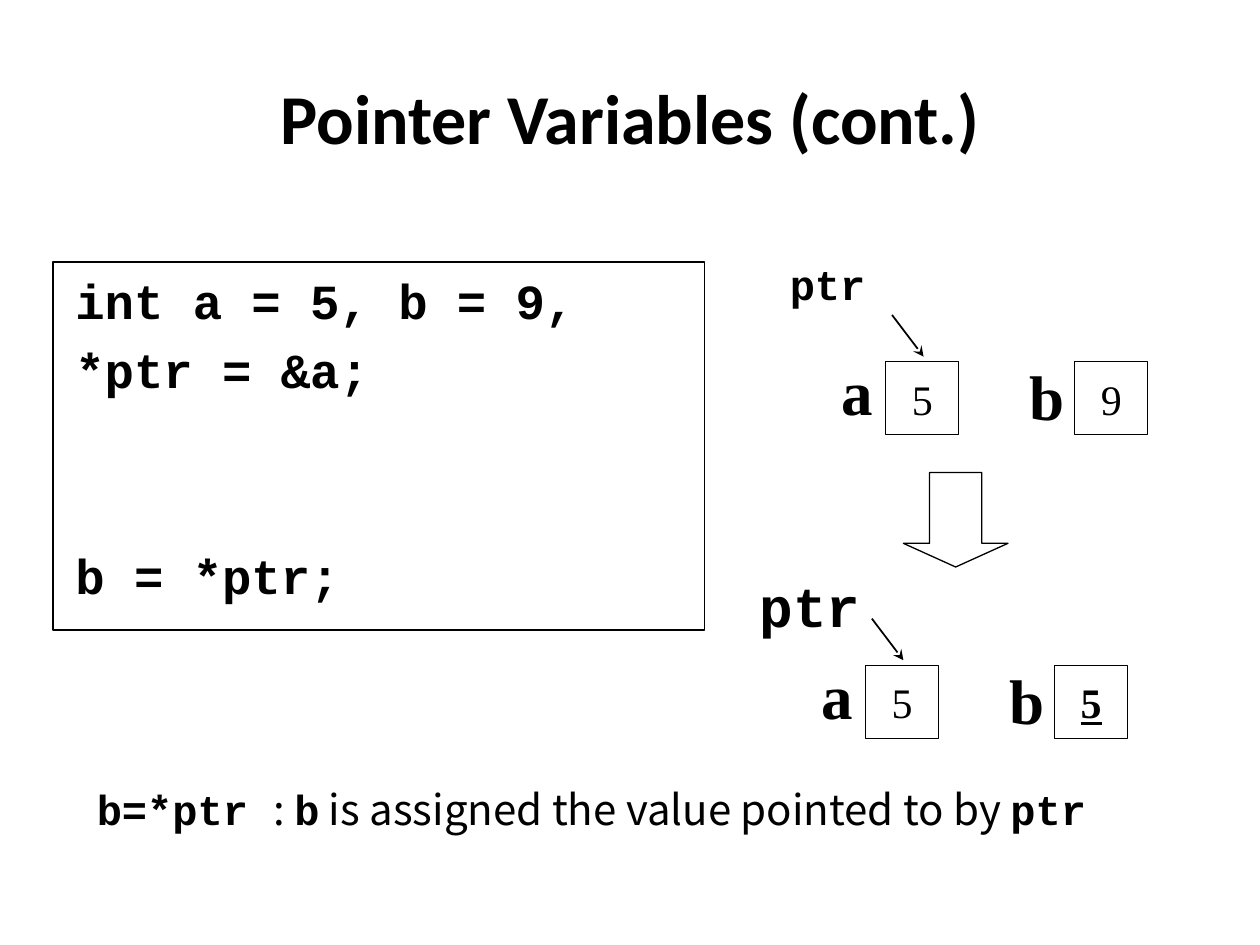
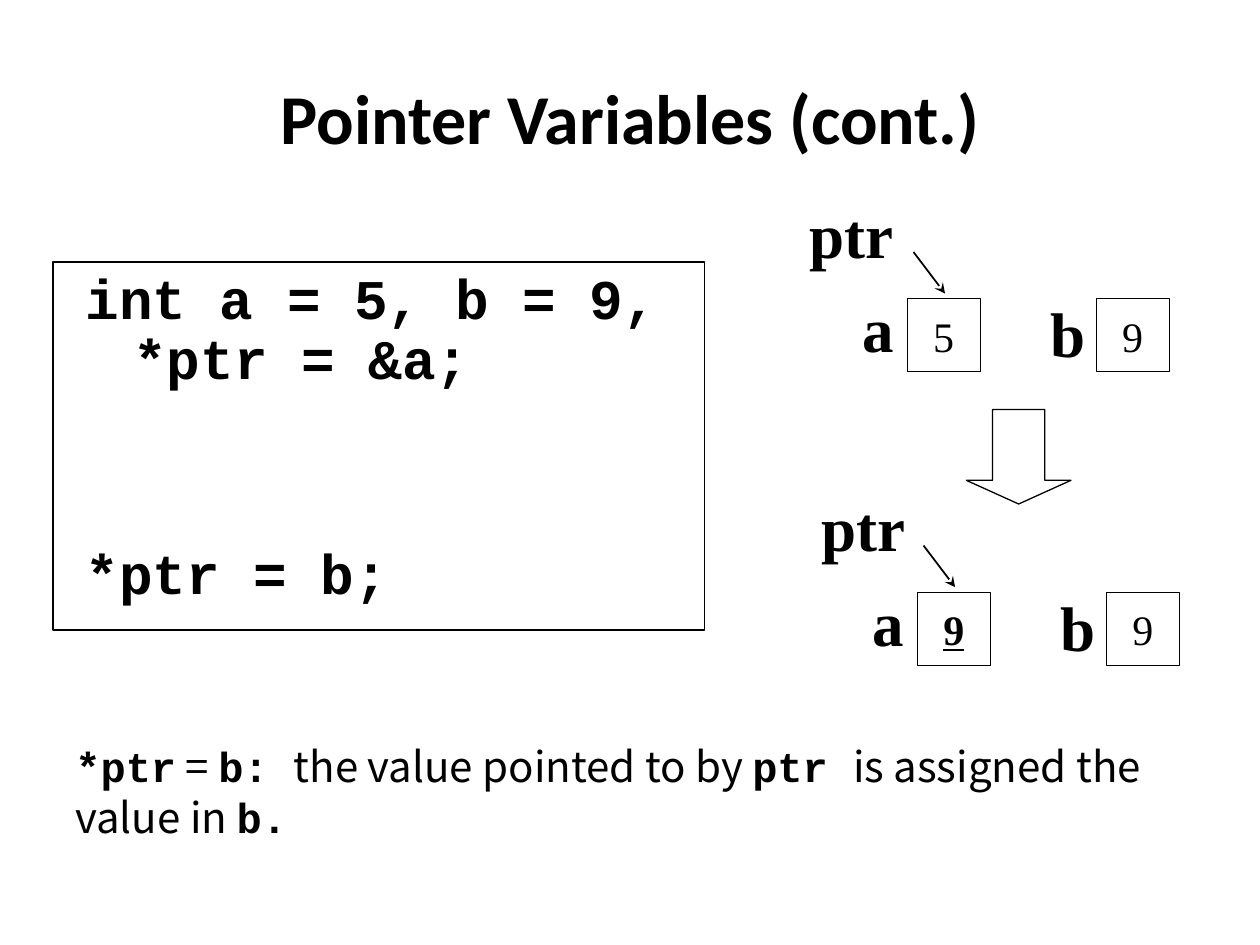
import lxml.etree
import pptx
import pptx.dml.color
import pptx.enum.shapes
import pptx.enum.text
import pptx.oxml.ns
import pptx.util

Inches = pptx.util.Inches
Pt = pptx.util.Pt
qn = pptx.oxml.ns.qn
Shape = pptx.enum.shapes.MSO_SHAPE
Align = pptx.enum.text.PP_ALIGN
Anchor = pptx.enum.text.MSO_ANCHOR

BLACK = "000000"
CODE, PROSE, SERIF = "Courier New", "Noto Sans CJK KR", "Times New Roman"
CELL = 0.58
CELL_PITCH = 1.5


def add_span(para, text, font, size, bold=True, color=BLACK):
    span = para.add_run()
    span.text = text
    span.font.name = font
    span.font.size = Pt(size)
    span.font.bold = bold
    span.font.color.rgb = pptx.dml.color.RGBColor.from_string(color)
    return span


def add_outline(slide, kind, left, top, width, height):
    """Add an unfilled preset shape with a thin black line."""
    shape = slide.shapes.add_shape(
        kind, Inches(left), Inches(top), Inches(width), Inches(height))
    shape.shadow.inherit = False
    shape.fill.background()
    shape.line.color.rgb = pptx.dml.color.RGBColor.from_string(BLACK)
    shape.line.width = Pt(0.75)
    return shape


# Code lines are (text, space before). A state gives the position of cell a,
# the two values, the changed variable, and the offset and font of "ptr".
pages = [
    {
        "code_at": (0.5, 5.25), "code_size": 28, "line_spacing": 1.0,
        "code": [("int a = 5, b = 9,", 0), ("*ptr = &a;", 5.6), ("b = *ptr;", 84)],
        "states": [
            (7.03, 2.87, {"a": "5", "b": "9"}, None, (-0.86, -0.87), CODE, 24),
            (6.87, 5.28, {"a": "5", "b": "5"}, "b", (-0.94, -0.79), CODE, 32),
        ],
        "block_arrow": (7.17, 3.75),
        "note_at": (0.67, 6.17, 8.43, 0.5),
        "note": [("b=*ptr ", CODE), (": ", PROSE), ("b", CODE),
                 (" is assigned the value pointed to by ", PROSE), ("ptr", CODE)],
    },
    {
        "code_at": (0.58, 5), "code_size": 32, "line_spacing": 0.9,
        "code": [("int a = 5, b = 9, *ptr = &a;", 0), ("*ptr = b;", 88)],
        "states": [
            (7.2, 2.37, {"a": "5", "b": "9"}, None, (-0.87, -0.87), SERIF, 36),
            (7.28, 4.7, {"a": "9", "b": "9"}, "a", (-0.86, -0.87), SERIF, 36),
        ],
        "block_arrow": (7.67, 3.25),
        "note_at": (0.5, 5.83, 9, 0.91),
        "note": [("*ptr", CODE), (" = ", PROSE), ("b: ", CODE),
                 ("the value pointed to by ", PROSE), ("ptr ", CODE),
                 ("is assigned the value in ", PROSE), ("b.", CODE)],
    },
]

deck = pptx.Presentation()
deck.slide_width, deck.slide_height = Inches(10), Inches(7.5)
title_only = deck.slide_layouts[5]

for page in pages:
    slide = deck.slides.add_slide(title_only)
    title = slide.shapes.title
    title.left, title.top = Inches(0.5), Inches(0.3)
    title.width, title.height = Inches(9), Inches(1.25)
    title.text_frame.vertical_anchor = Anchor.MIDDLE
    para = title.text_frame.paragraphs[0]
    para.alignment = Align.CENTER
    add_span(para, "Pointer Variables (cont.)", "Calibri", 40)

    # Code listing with hanging indents
    add_outline(slide, Shape.RECTANGLE, 0.42, 2.08, 5.17, 2.92)
    left, width = page["code_at"]
    box = slide.shapes.add_textbox(
        Inches(left), Inches(2.1), Inches(width), Inches(2.81))
    box.text_frame.word_wrap = True
    for number, (line, space_before) in enumerate(page["code"]):
        para = box.text_frame.add_paragraph() if number else box.text_frame.paragraphs[0]
        properties = para._p.get_or_add_pPr()
        properties.set("marL", str(Inches(0.38)))
        properties.set("indent", str(Inches(-0.38)))
        para.line_spacing = page["line_spacing"]
        para.space_before = Pt(space_before)
        add_span(para, line, CODE, page["code_size"])

    # Memory before and after the assignment
    for x, y, values, changed, (ptr_dx, ptr_dy), ptr_font, ptr_size in page["states"]:
        for column, (name, value) in enumerate(values.items()):
            cell = add_outline(
                slide, Shape.RECTANGLE, x + column * CELL_PITCH, y, CELL, CELL)
            cell.text_frame.vertical_anchor = Anchor.MIDDLE
            para = cell.text_frame.paragraphs[0]
            para.alignment = Align.CENTER
            span = add_span(para, value, SERIF, 24, bold=name == changed)
            span.font.underline = name == changed

        labels = [
            ("a", -0.45, -0.12, 0.48, SERIF, 36),
            ("b", 1.04, -0.08, 0.48, SERIF, 36),
            ("ptr", ptr_dx, ptr_dy, 1.1, ptr_font, ptr_size),
        ]
        for name, dx, dy, width, font, size in labels:
            label = slide.shapes.add_textbox(
                Inches(x + dx), Inches(y + dy), Inches(width), Inches(0.7))
            label.text_frame.word_wrap = True
            add_span(label.text_frame.paragraphs[0], name, font, size)

        pointer = slide.shapes.add_connector(
            pptx.enum.shapes.MSO_CONNECTOR.STRAIGHT,
            Inches(x + 0.05), Inches(y - 0.37), Inches(x + 0.3), Inches(y - 0.04))
        pointer.line.color.rgb = pptx.dml.color.RGBColor.from_string(BLACK)
        pointer.line.width = Pt(1)
        properties = pointer.element.spPr
        lxml.etree.SubElement(properties.find(qn("a:ln")), qn("a:tailEnd"), type="stealth")
        lxml.etree.SubElement(properties, qn("a:effectLst"))

    block_arrow = add_outline(slide, Shape.DOWN_ARROW, *page["block_arrow"], 0.83, 0.75)
    block_arrow.adjustments[0] = 0.5
    block_arrow.adjustments[1] = 0.25

    note = slide.shapes.add_textbox(*map(Inches, page["note_at"]))
    note.text_frame.word_wrap = True
    for text, font in page["note"]:
        add_span(note.text_frame.paragraphs[0], text, font, 24, bold=font == CODE)

deck.save("out.pptx")
